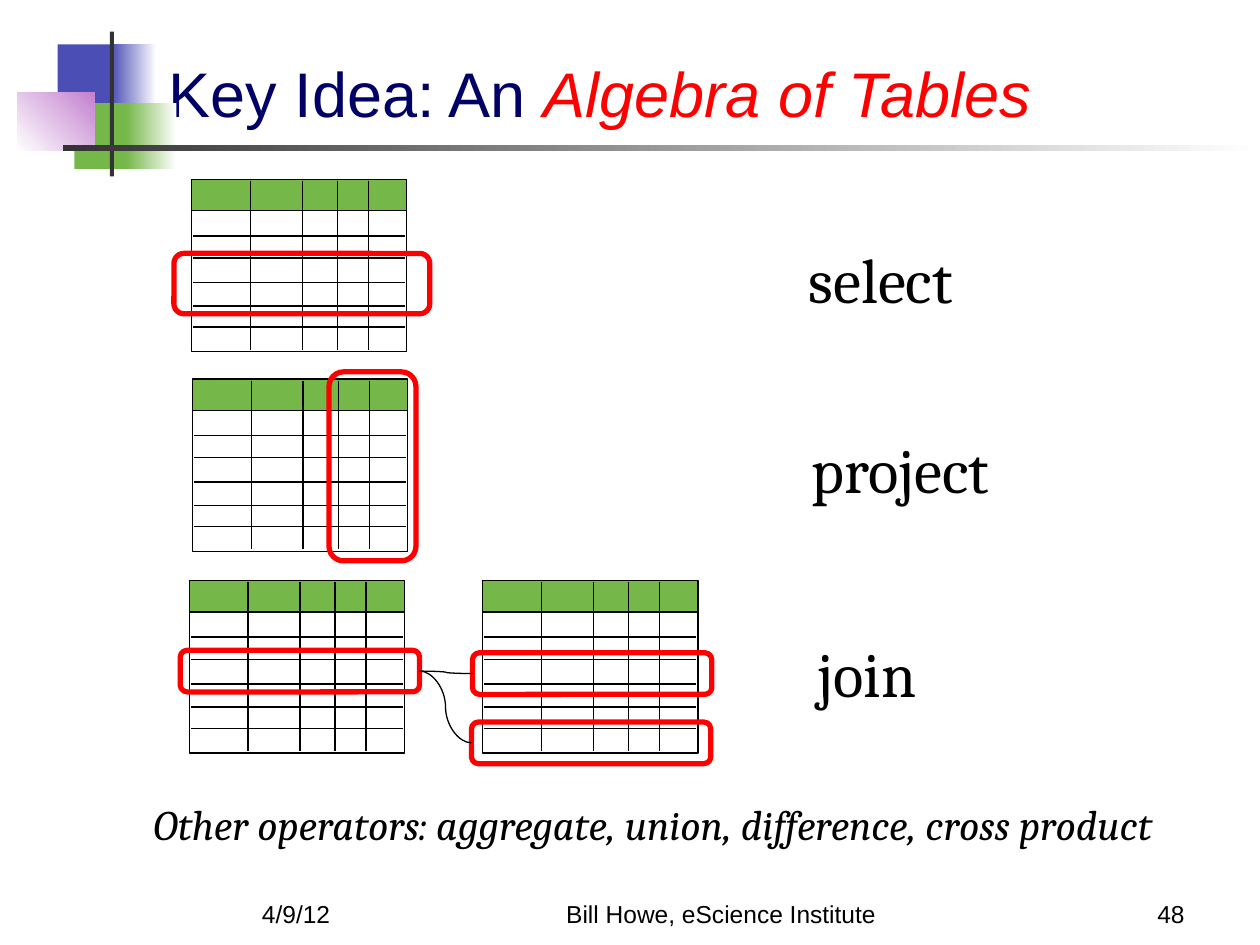
import pptx
import pptx.util
import pptx.dml.color
import pptx.enum.shapes
import pptx.enum.text
import pptx.oxml

Pt = pptx.util.Pt
RGBColor = pptx.dml.color.RGBColor
MSO_SHAPE = pptx.enum.shapes.MSO_SHAPE
MSO_CONNECTOR = pptx.enum.shapes.MSO_CONNECTOR
MSO_ANCHOR = pptx.enum.text.MSO_ANCHOR
MSO_AUTO_SIZE = pptx.enum.text.MSO_AUTO_SIZE
PP_ALIGN = pptx.enum.text.PP_ALIGN

BLACK = RGBColor(0x00, 0x00, 0x00)
WHITE = RGBColor(0xFF, 0xFF, 0xFF)
RED = RGBColor(0xFF, 0x00, 0x00)
NAVY = RGBColor(0x00, 0x00, 0x66)
BLUE = RGBColor(0x4B, 0x4E, 0xB5)
GREEN = RGBColor(0x76, 0xB7, 0x49)
PURPLE = RGBColor(0xC4, 0x81, 0xCF)
CHARCOAL = RGBColor(0x33, 0x33, 0x33)

EMPTY_EFFECTS = ('<a:effectLst xmlns:a='
                 '"http://schemas.openxmlformats.org/drawingml/2006/main"/>')

TABLE_WIDTH, TABLE_HEIGHT, HEADER_HEIGHT = 123, 98.5, 18
ROW_RULES = (18, 32.3, 45, 59, 72.3, 84.3)
COLUMN_RULES = (33.6, 63.2, 83.3, 101)


def add_text(frame, text, font="Arial", size=14, color=BLACK, italic=False,
             align=PP_ALIGN.LEFT):
    paragraph = frame.paragraphs[0]
    paragraph.alignment = align
    run = paragraph.add_run()
    run.text = text
    run.font.name = font
    run.font.size = Pt(size)
    run.font.color.rgb = color
    run.font.italic = italic


class SlideBuilder:
    thin = 0.75
    thick = 3

    def __init__(self, slide):
        self.slide = slide

    def box(self, left, top, width, height, fill=None, line=None,
            weight=thin, kind=MSO_SHAPE.RECTANGLE):
        shape = self.slide.shapes.add_shape(
            kind, Pt(left), Pt(top), Pt(width), Pt(height))
        shape.shadow.inherit = False
        if fill is None:
            shape.fill.background()
        else:
            shape.fill.solid()
            shape.fill.fore_color.rgb = fill
        if line is None:
            shape.line.fill.background()
        else:
            shape.line.color.rgb = line
            shape.line.width = Pt(weight)
        return shape

    def fade(self, left, top, width, height, start, end, angle=0):
        fill = self.box(left, top, width, height).fill
        fill.gradient()
        fill.gradient_angle = angle
        for stop, color, position in zip(fill.gradient_stops, (start, end), (0, 1)):
            stop.color.rgb = color
            stop.position = position

    def highlight(self, left, top, width, height):
        return self.box(left, top, width, height, line=RED, weight=self.thick,
                        kind=MSO_SHAPE.ROUNDED_RECTANGLE)

    def line(self, x1, y1, x2, y2, kind=MSO_CONNECTOR.STRAIGHT):
        connector = self.slide.shapes.add_connector(
            kind, Pt(x1), Pt(y1), Pt(x2), Pt(y2))
        connector.line.color.rgb = BLACK
        connector.line.width = Pt(self.thin)
        connector._element.spPr.append(pptx.oxml.parse_xml(EMPTY_EFFECTS))
        return connector

    def link(self, source, target):
        curve = self.line(0, 0, 0, 0, MSO_CONNECTOR.CURVE)
        curve.begin_connect(source, 3)
        curve.end_connect(target, 1)

    def relation(self, left, top):
        self.box(left, top + 1, TABLE_WIDTH, TABLE_HEIGHT - 1, WHITE, BLACK)
        self.box(left, top, TABLE_WIDTH, HEADER_HEIGHT, GREEN, BLACK)
        for y in ROW_RULES:
            self.line(left + 1, top + y, left + TABLE_WIDTH - 1, top + y)
        for x in COLUMN_RULES:
            self.line(left + x, top + 1, left + x, top + TABLE_HEIGHT - 1)

    def label(self, left, top, width, height, text, anchor=MSO_ANCHOR.TOP, **style):
        frame = self.slide.shapes.add_textbox(
            Pt(left), Pt(top), Pt(width), Pt(height)).text_frame
        frame.word_wrap = True
        frame.vertical_anchor = anchor
        add_text(frame, text, **style)

    def title(self, left, top, width, height, *parts):
        title = self.slide.shapes.title
        title.left, title.top = Pt(left), Pt(top)
        title.width, title.height = Pt(width), Pt(height)
        frame = title.text_frame
        frame.auto_size = MSO_AUTO_SIZE.NONE
        frame.vertical_anchor = MSO_ANCHOR.BOTTOM
        for text, style in parts:
            add_text(frame, text, size=36, **style)


def main():
    deck = pptx.Presentation()
    deck.slide_width, deck.slide_height = Pt(720), Pt(540)
    page = SlideBuilder(deck.slides.add_slide(deck.slide_layouts[5]))

    page.box(33, 25.3, 34.5, 37.5, BLUE)
    page.fade(63.4, 25.3, 26, 37.5, BLUE, WHITE)
    page.box(42.5, 59, 33, 37.5, GREEN)
    page.fade(72, 59, 28.8, 37.5, GREEN, WHITE)
    page.fade(10, 53, 44, 33.2, WHITE, PURPLE, angle=45)
    page.box(62.8, 18, 2.3, 82.8, CHARCOAL)
    page.fade(36, 82.8, 684, 3.6, CHARCOAL, WHITE)

    page.title(89.3, 25.2, 613.5, 52.6,
               ("Key Idea: An ", {"color": NAVY}),
               ("Algebra of Tables", {"color": RED, "italic": True}))

    for left, top in ((109.5, 102.5), (110, 216.5), (108.2, 331.8), (275.8, 331.8)):
        page.relation(left, top)

    page.highlight(99.4, 144.8, 146.2, 34.5)
    page.highlight(188, 212.5, 49.7, 108)
    joined_row = page.highlight(103, 371.6, 136.8, 23.8)
    for left, top in ((270, 373), (269.4, 412.6)):
        page.link(joined_row, page.highlight(left, top, 136.8, 23.8))

    for left, top, operator in ((455, 134, "select"), (456.5, 242.6, "project"),
                                (460, 359.3, "join")):
        page.label(left, top, 222.5, 50.4, operator, font="Cambria", size=36)
    page.label(80.6, 453, 615.6, 36,
               "Other operators: aggregate, union, difference, cross product",
               font="Cambria", size=24, italic=True)

    for left, width, text, align in (
            (142.6, 149.8, "4/9/12", PP_ALIGN.LEFT),
            (298, 228.2, "Bill Howe, eScience Institute", PP_ALIGN.CENTER),
            (534.2, 149.8, "48", PP_ALIGN.RIGHT)):
        page.label(left, 498.2, width, 36, text, anchor=MSO_ANCHOR.BOTTOM, align=align)

    deck.save("out.pptx")


if __name__ == "__main__":
    main()
